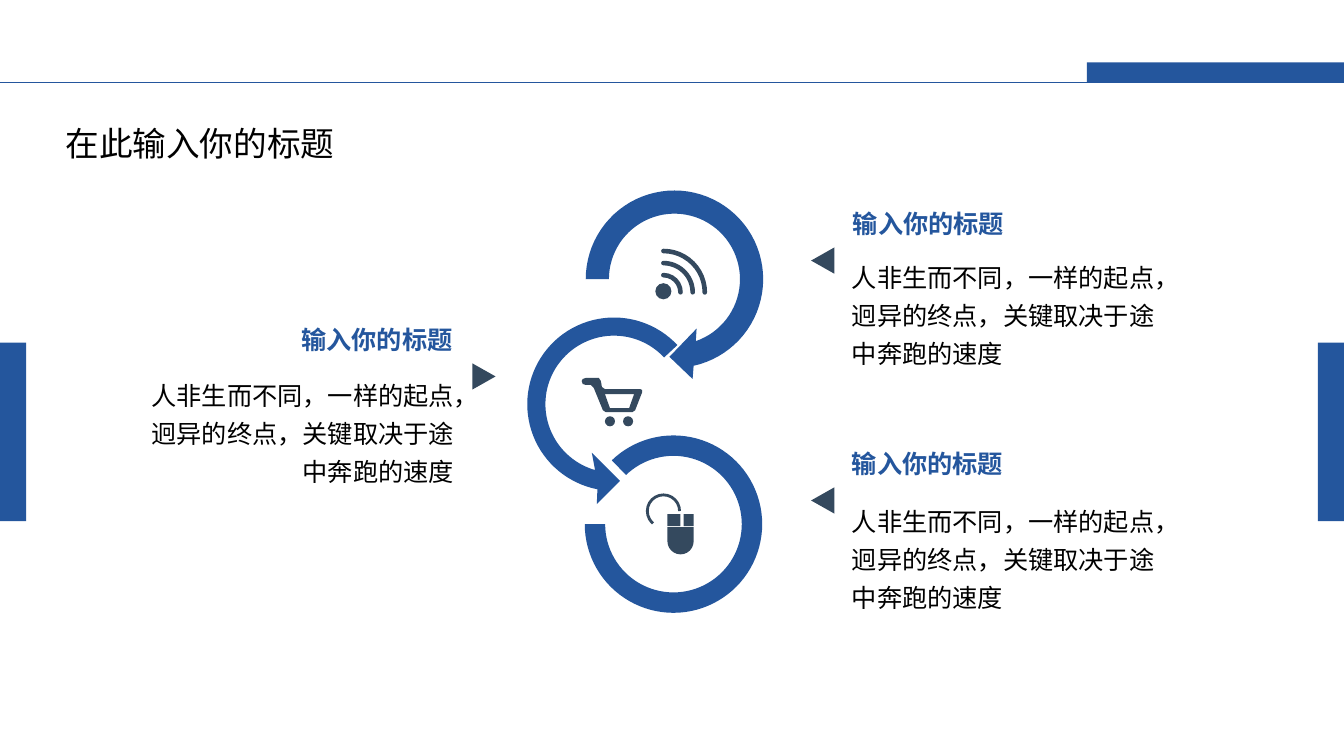
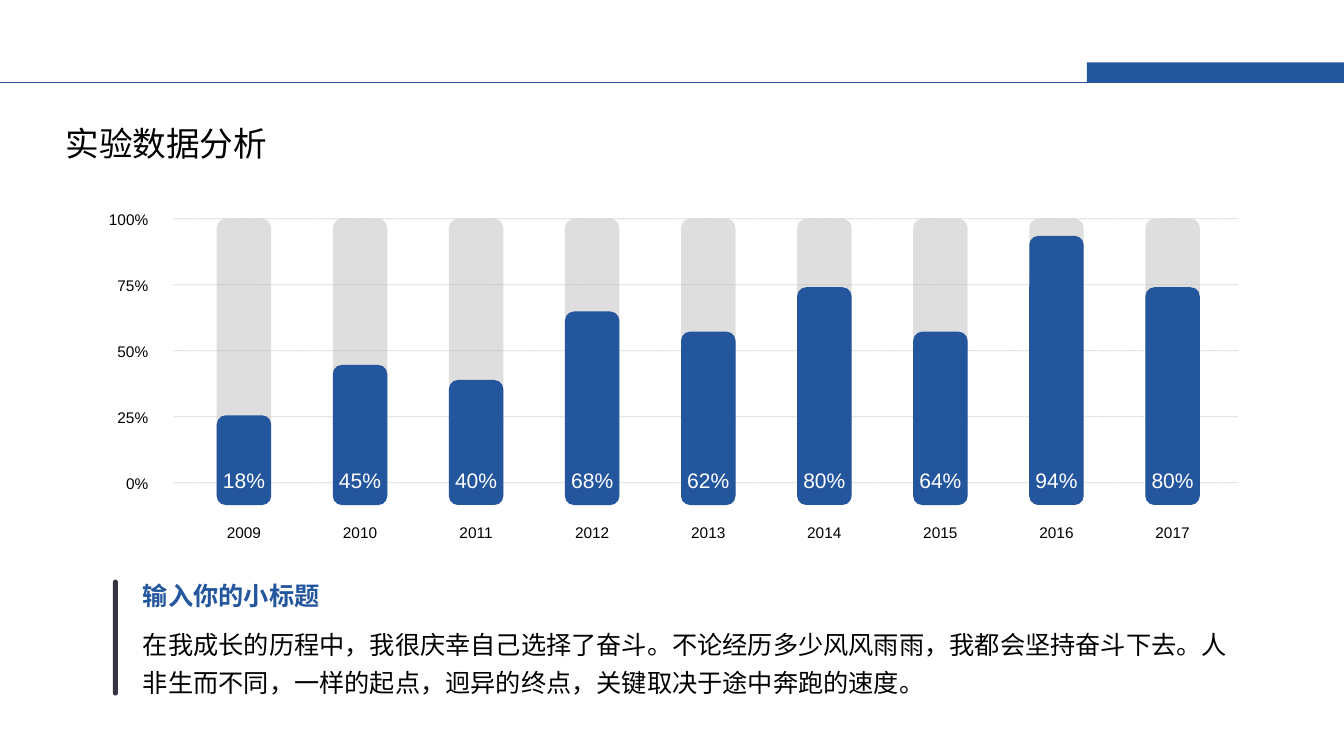
from dataclasses import dataclass
from math import cos, radians, sin

from lxml.etree import SubElement
from pptx import Presentation
from pptx.dml.color import RGBColor
from pptx.enum.dml import MSO_LINE
from pptx.enum.shapes import MSO_CONNECTOR, MSO_SHAPE
from pptx.enum.text import MSO_ANCHOR, PP_ALIGN
from pptx.oxml.ns import qn
from pptx.util import Inches, Pt

Point = tuple[float, float]
Box = tuple[float, float, float, float]


@dataclass(frozen=True)
class Theme:
    blue: str = "24569D"
    slate: str = "34495E"
    ink: str = "343443"
    track: str = "BFBFBF"
    black: str = "000000"
    white: str = "FFFFFF"
    body_font: str = "DejaVu Sans"
    heading_font: str = "Noto Sans CJK SC"
    number_font: str = "Arial"
    title_size: int = 24
    text_size: int = 18
    value_size: int = 15
    axis_size: int = 11


@dataclass(frozen=True)
class TextStyle:
    size: int
    font: str
    color: str
    bold: bool = False
    align: PP_ALIGN = PP_ALIGN.LEFT
    spacing: float | None = None


@dataclass(frozen=True)
class Topic:
    heading_at: Point
    body_at: Point
    pointer_at: Point
    pointer_turn: int
    align: PP_ALIGN


@dataclass(frozen=True)
class CircularArrow:
    center: Point
    outer: float
    inner: float
    start: float
    outer_end: float
    inner_end: float
    head: tuple[Point, Point, Point]


@dataclass(frozen=True)
class YearBar:
    year: str
    value: str
    height: float


THEME = Theme()
SLIDE_WIDTH, SLIDE_HEIGHT = 13.33, 7.5
TITLE = TextStyle(THEME.title_size, THEME.body_font, THEME.black)
HEADING = TextStyle(THEME.text_size, THEME.heading_font, THEME.blue, bold=True)
VALUE = TextStyle(THEME.value_size, THEME.number_font, THEME.white, align=PP_ALIGN.CENTER)
YEAR = TextStyle(THEME.axis_size, THEME.number_font, THEME.black, align=PP_ALIGN.CENTER, spacing=0.95)
SCALE = TextStyle(THEME.axis_size, THEME.number_font, THEME.black, align=PP_ALIGN.RIGHT, spacing=0.95)

TOPIC_HEADING = "输入你的标题"
TOPIC_BODY = "人非生而不同，一样的起点，迥异的终点，关键取决于途中奔跑的速度"
TOPICS = (
    Topic((8.36, 2.02), (8.35, 2.48), (8.03, 2.47), 270, PP_ALIGN.LEFT),
    Topic((2.89, 3.17), (1.39, 3.65), (4.67, 3.62), 90, PP_ALIGN.RIGHT),
    Topic((8.35, 4.4), (8.35, 4.9), (8.03, 4.85), 270, PP_ALIGN.LEFT),
)
ARROWS = (
    CircularArrow((6.69, 2.77), 0.88, 0.65, 180, 437.5, 431,
                  ((6.87, 3.76), (6.64, 3.54), (6.91, 3.26))),
    CircularArrow((6.09, 4.01), 0.86, 0.68, 317, 101, 106,
                  ((5.92, 5.0), (6.15, 4.77), (5.87, 4.49))),
)
CART_FRAME = (
    (6.35, 3.86), (6.0, 3.86), (5.97, 3.84), (5.96, 3.78), (5.94, 3.75), (5.81, 3.75),
    (5.78, 3.76), (5.77, 3.78), (5.78, 3.81), (5.81, 3.82), (5.86, 3.82), (5.89, 3.85),
    (5.98, 4.07), (6.01, 4.09), (6.27, 4.09), (6.3, 4.07), (6.37, 3.89), (6.37, 3.87),
)
CART_OPENING = ((6.24, 4.05), (6.05, 4.05), (6.0, 3.91), (6.29, 3.91))

YEAR_BARS = (
    YearBar("2009", "18%", 0.89), YearBar("2010", "45%", 1.39), YearBar("2011", "40%", 1.24),
    YearBar("2012", "68%", 1.92), YearBar("2013", "62%", 1.72), YearBar("2014", "80%", 2.16),
    YearBar("2015", "64%", 1.72), YearBar("2016", "94%", 2.67), YearBar("2017", "80%", 2.16),
)
SCALE_STEPS = ("100%", "75%", "50%", "25%", "0%")


# Drawing helpers
def lengths(values):
    return [Inches(value) for value in values]


def degrees(angle: float) -> float:
    """Angle as a preset-shape adjustment."""
    return angle * 0.6


def paint(shape, color: str):
    shape.shadow.inherit = False
    shape.fill.solid()
    shape.fill.fore_color.rgb = RGBColor.from_string(color)
    shape.line.fill.background()
    return shape


def add_block(slide, kind: MSO_SHAPE, box: Box, color: str, adjustments=()):
    block = slide.shapes.add_shape(kind, *lengths(box))
    for index, value in enumerate(adjustments):
        block.adjustments[index] = value
    return paint(block, color)


def add_arc(slide, center: Point, radius: float, start: float, end: float, weight: float):
    x, y = center
    arc = slide.shapes.add_shape(
        MSO_SHAPE.ARC, *lengths((x - radius, y - radius, 2 * radius, 2 * radius)))
    arc.adjustments[0], arc.adjustments[1] = degrees(start), degrees(end)
    arc.shadow.inherit = False
    arc.fill.background()
    arc.line.color.rgb = RGBColor.from_string(THEME.slate)
    arc.line.width = Pt(weight)
    return arc


def add_outline(slide, contours, color: str):
    first, *others = [[tuple(lengths(point)) for point in contour] for contour in contours]
    builder = slide.shapes.build_freeform(*first[0], scale=1.0)
    builder.add_line_segments(first[1:], close=True)
    for contour in others:
        builder.move_to(*contour[0])
        builder.add_line_segments(contour[1:], close=True)
    return paint(builder.convert_to_shape(), color)


def add_rule(slide, left: float, right: float, y: float, color: str):
    rule = slide.shapes.add_connector(MSO_CONNECTOR.STRAIGHT, *lengths((left, y, right, y)))
    rule.line.color.rgb = RGBColor.from_string(color)
    rule.line.width = Pt(0.5)
    SubElement(rule.element.spPr, qn("a:effectLst"))
    return rule


def set_opacity(shape, percent: int) -> None:
    color = shape.element.spPr.find(f".//{qn('a:srgbClr')}")
    SubElement(color, qn("a:alpha"), val=str(percent * 1000))


def write(shape, text: str, style: TextStyle, wrap: bool = False) -> None:
    frame = shape.text_frame
    frame.word_wrap = wrap
    paragraph = frame.paragraphs[0]
    paragraph.text = text
    paragraph.alignment = style.align
    if style.spacing:
        paragraph.line_spacing = style.spacing
    font = paragraph.font
    font.size, font.name, font.bold = Pt(style.size), style.font, style.bold
    font.color.rgb = RGBColor.from_string(style.color)


def add_text(slide, box: Box, text: str, style: TextStyle, wrap: bool = False) -> None:
    write(slide.shapes.add_textbox(*lengths(box)), text, style, wrap)


def body_style(align: PP_ALIGN = PP_ALIGN.LEFT) -> TextStyle:
    return TextStyle(THEME.text_size, THEME.body_font, THEME.black, align=align, spacing=1.25)


# Shared frame
def move_header_to_layout(slide, layout) -> None:
    band = add_block(slide, MSO_SHAPE.RECTANGLE, (10.78, 0.62, 2.55, 0.2), THEME.blue)
    rule = add_rule(slide, 0, SLIDE_WIDTH, 0.82, THEME.blue)
    for shape_id, part in enumerate((band, rule), start=100):
        part.element.find(f".//{qn('p:cNvPr')}").set("id", str(shape_id))
        layout.shapes.element.append(part.element)


def add_titled_slide(deck, layout, title: str, width: float):
    slide = deck.slides.add_slide(layout)
    heading = slide.shapes.title
    heading.left, heading.top, heading.width, heading.height = lengths((0.55, 1.17, width, 0.5))
    heading.text_frame.vertical_anchor = MSO_ANCHOR.TOP
    write(heading, title, TITLE)
    return slide


# Cycle slide
def add_circular_arrow(slide, arrow: CircularArrow) -> None:
    def sweep(radius: float, start: float, end: float, steps: int = 60) -> list[Point]:
        angles = [radians(start + (end - start) * step / steps) for step in range(steps + 1)]
        x, y = arrow.center
        return [(x + radius * cos(angle), y + radius * sin(angle)) for angle in angles]

    outline = [*sweep(arrow.outer, arrow.start, arrow.outer_end), *arrow.head,
               *sweep(arrow.inner, arrow.inner_end, arrow.start)]
    add_outline(slide, [outline], THEME.blue)


def add_signal_icon(slide) -> None:
    add_block(slide, MSO_SHAPE.OVAL, (6.5, 2.81, 0.16, 0.16), THEME.slate)
    for radius in (0.17, 0.29, 0.41):
        wave = add_arc(slide, (6.58, 2.9), radius, 270, 0, 3.3)
        wave.element.spPr.find(qn("a:ln")).set("cap", "rnd")


def add_cart_icon(slide) -> None:
    add_outline(slide, [CART_FRAME, CART_OPENING], THEME.slate)
    for left in (6.0, 6.18):
        add_block(slide, MSO_SHAPE.OVAL, (left, 4.13, 0.1, 0.1), THEME.slate)


def add_mouse_icon(slide) -> None:
    for left, width in ((6.62, 0.13), (6.78, 0.1)):
        add_block(slide, MSO_SHAPE.RECTANGLE, (left, 5.1, width, 0.12), THEME.slate)
    add_block(slide, MSO_SHAPE.ROUND_2_SAME_RECTANGLE, (6.62, 5.23, 0.26, 0.27),
              THEME.slate, (0, 0.5))
    add_arc(slide, (6.58, 5.07), 0.16, 130, 0, 2)


def add_topic(slide, topic: Topic) -> None:
    add_text(slide, (*topic.heading_at, 1.72, 0.4), TOPIC_HEADING, HEADING)
    add_text(slide, (*topic.body_at, 3.21, 1.24), TOPIC_BODY, body_style(topic.align), wrap=True)
    pointer = add_block(slide, MSO_SHAPE.ISOSCELES_TRIANGLE,
                        (*topic.pointer_at, 0.26, 0.23), THEME.slate)
    pointer.rotation = topic.pointer_turn


def fill_cycle_slide(slide) -> None:
    for left in (0, SLIDE_WIDTH - 0.26):
        add_block(slide, MSO_SHAPE.RECTANGLE, (left, 3.4, 0.26, 1.77), THEME.blue)
    for arrow in ARROWS:
        add_circular_arrow(slide, arrow)
    add_block(slide, MSO_SHAPE.BLOCK_ARC, (5.8, 4.32, 1.76, 1.76), THEME.blue,
              (degrees(226), degrees(180), 0.115))
    add_signal_icon(slide)
    add_cart_icon(slide)
    add_mouse_icon(slide)
    for topic in TOPICS:
        add_topic(slide, topic)


# Data slide
def add_year_bar(slide, bar: YearBar, left: float) -> None:
    bottom, width, full_height = 5.01, 0.54, 2.84
    track = add_block(slide, MSO_SHAPE.ROUNDED_RECTANGLE,
                      (left, bottom - full_height, width, full_height), THEME.track)
    set_opacity(track, 50)
    column = add_block(slide, MSO_SHAPE.ROUNDED_RECTANGLE,
                       (left, bottom - bar.height, width, bar.height), THEME.blue)
    frame = column.text_frame
    frame.vertical_anchor = MSO_ANCHOR.BOTTOM
    frame.margin_top = frame.margin_bottom = Inches(0.1)
    write(column, bar.value, VALUE)
    add_text(slide, (left, 5.15, width, 0.35), bar.year, YEAR)


def fill_data_slide(slide) -> None:
    top, bottom = 2.17, 4.79
    for index, label in enumerate(SCALE_STEPS):
        y = top + index * (bottom - top) / (len(SCALE_STEPS) - 1)
        grid = add_rule(slide, 1.72, 12.28, y, THEME.black)
        grid.line.dash_style = MSO_LINE.SQUARE_DOT
        set_opacity(grid, 20)
        add_text(slide, (0.57, y - 0.12, 1, 0.28), label, SCALE, wrap=True)

    first, last = 2.15, 11.36
    for index, bar in enumerate(YEAR_BARS):
        add_year_bar(slide, bar, first + index * (last - first) / (len(YEAR_BARS) - 1))

    add_block(slide, MSO_SHAPE.ROUNDED_RECTANGLE, (1.12, 5.75, 0.05, 1.15), THEME.ink, (0.5,))
    subtitle = TextStyle(THEME.text_size, THEME.body_font, THEME.blue, bold=True)
    add_text(slide, (1.32, 5.71, 1.97, 0.4), "输入你的小标题", subtitle)
    add_text(slide, (1.32, 6.12, 10.96, 0.82),
             "在我成长的历程中，我很庆幸自己选择了奋斗。不论经历多少风风雨雨，我都会坚持奋斗下去。"
             "人非生而不同，一样的起点，迥异的终点，关键取决于途中奔跑的速度。",
             body_style(), wrap=True)


def main() -> None:
    deck = Presentation()
    deck.slide_width, deck.slide_height = lengths((SLIDE_WIDTH, SLIDE_HEIGHT))
    layout = deck.slide_layouts[5]
    cycle = add_titled_slide(deck, layout, "在此输入你的标题", 2.89)
    move_header_to_layout(cycle, layout)
    fill_cycle_slide(cycle)
    fill_data_slide(add_titled_slide(deck, layout, "实验数据分析", 2.22))
    deck.save("out.pptx")


if __name__ == "__main__":
    main()
